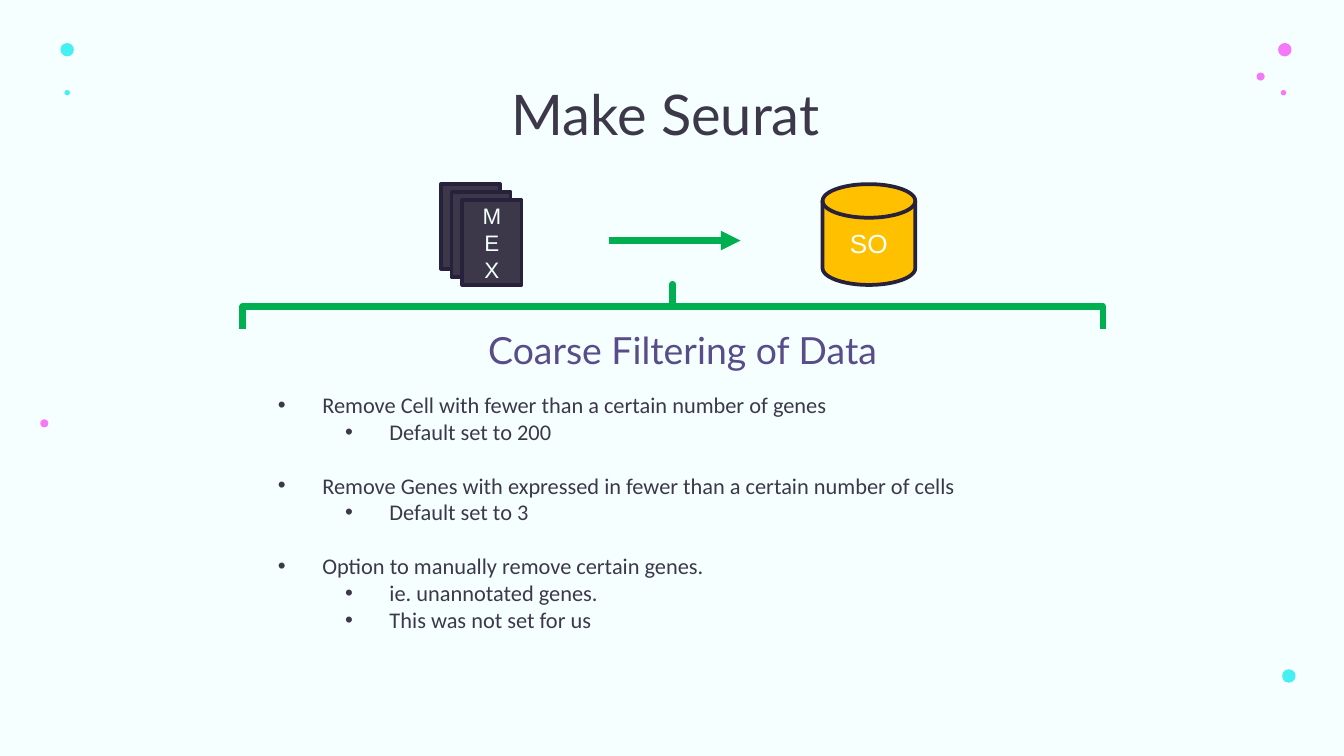
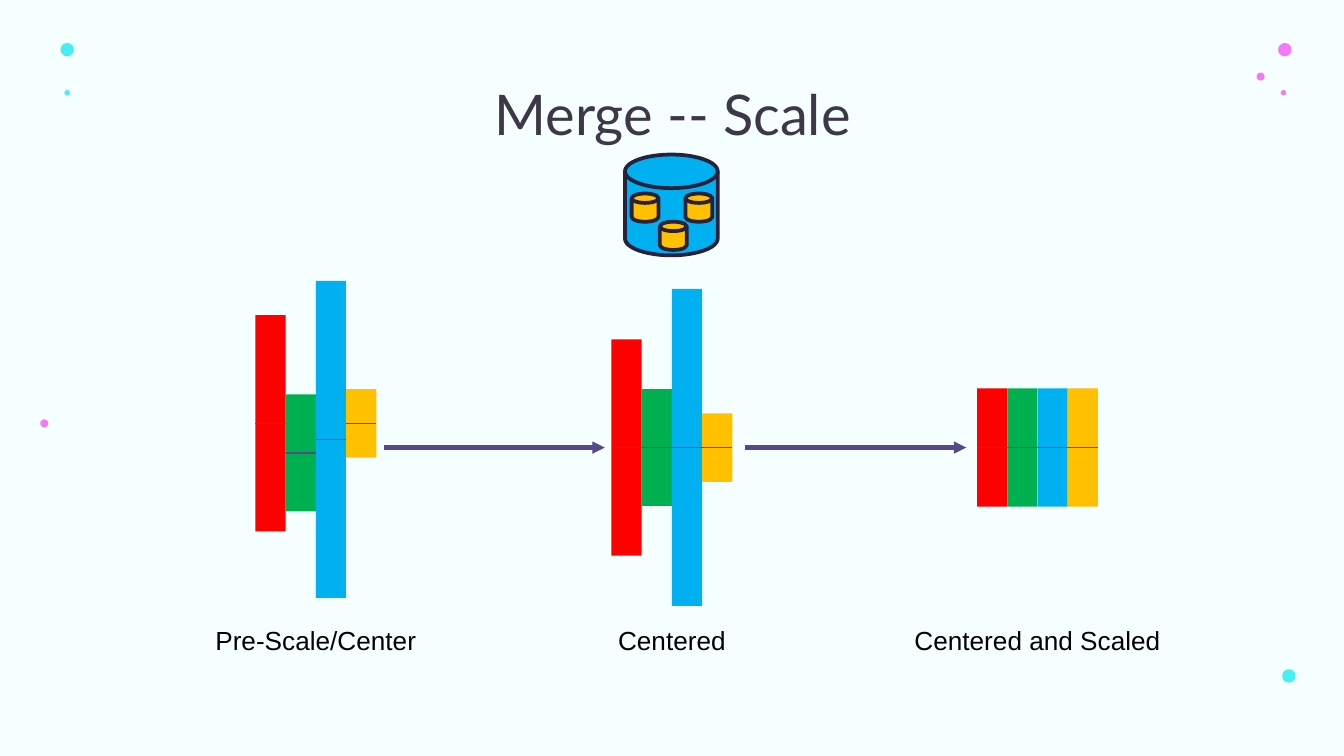
"""Build two slides on filtering, merging and scaling single-cell data."""
import dataclasses

import lxml.etree
import pptx
import pptx.dml.color
import pptx.enum.shapes
import pptx.enum.text
import pptx.oxml.ns
import pptx.util

SHAPE = pptx.enum.shapes.MSO_SHAPE
ANCHOR = pptx.enum.text.MSO_ANCHOR
ALIGN = pptx.enum.text.PP_ALIGN
Inches = pptx.util.Inches
qn = pptx.oxml.ns.qn


@dataclasses.dataclass(frozen=True)
class Theme:
    paper: str = "F5FFFF"
    ink: str = "3C384A"
    outline: str = "27213C"
    purple: str = "584C89"
    mean: str = "554987"
    black: str = "000000"
    pink: str = "F578F8"
    cyan: str = "46EFF2"
    red: str = "FF0000"
    green: str = "00B050"
    blue: str = "00B0F0"
    amber: str = "FFC000"
    heading_font: str = "Lato"
    body_font: str = "Calibri"
    label_font: str = "Arial"
    title_size: float = 30
    subtitle_size: float = 20
    label_size: float = 14
    body_size: float = 12
    body_line: float = 14.4


THEME = Theme()
SLIDE_WIDTH = 10
SLIDE_HEIGHT = SLIDE_WIDTH * 9 / 16
TITLE_BOX = (0.79, 0.49, 8.43, 0.63)
DISK_SIZE = (0.69, 0.75)
SMALL_DISK_SIZE = (0.2, 0.21)

DOTS = [
    (9.51, 0.32, 0.1, THEME.pink),
    (9.35, 0.54, 0.06, THEME.pink),
    (9.53, 0.67, 0.04, THEME.pink),
    (0.45, 0.32, 0.1, THEME.cyan),
    (0.3, 3.12, 0.06, THEME.pink),
    (0.48, 0.67, 0.04, THEME.cyan),
    (9.54, 4.98, 0.1, THEME.cyan),
]

FILE_STACK = [[], [], ["ME", "X"]]
FILTERS = [
    ("Remove Cell with fewer than a certain number of genes", ["Default set to 200"]),
    ("Remove Genes with expressed in fewer than a certain number of cells", ["Default set to 3"]),
    ("Option to manually remove certain genes.", ["ie. unannotated genes.", "This was not set for us"]),
]

AXIS = 3.33
CLUSTER_WIDTH = 0.9
CAPTION_TOP, CAPTION_HEIGHT = 4.6, 0.34
BAR_COLORS = [THEME.red, THEME.green, THEME.blue, THEME.amber]
RAW_HEIGHTS = [1.61, 0.87, 2.36, 0.51]
CLUSTERS = [
    ("Pre-Scale/Center", 1.72, 1.9, RAW_HEIGHTS, [3.15, 3.37, 3.27, 3.15]),
    ("Centered", 1.43, 4.55, RAW_HEIGHTS, [AXIS] * 4),
    ("Centered and Scaled", 2.12, 7.27, [0.88] * 4, [AXIS] * 4),
]
STEP_ARROWS = [(2.86, 4.5), (5.54, 7.19)]


def rgb(color):
    """Return the colour object for a hex string."""
    return pptx.dml.color.RGBColor.from_string(color)


def add_run(paragraph, text, font, size, color):
    """Add one formatted run."""
    run = paragraph.add_run()
    run.text = text
    run.font.name = font
    run.font.size = pptx.util.Pt(size)
    run.font.color.rgb = rgb(color)


def set_indent(paragraph, left):
    """Give a paragraph a left margin with a hanging first line."""
    properties = paragraph._p.get_or_add_pPr()
    properties.set("marL", str(Inches(left)))
    properties.set("indent", str(Inches(-0.33)))
    return properties


def add_bullet(paragraph, level):
    """Turn a paragraph into a bullet of the given level."""
    paragraph.level = level
    properties = set_indent(paragraph, 0.5 * (level + 1))
    color = lxml.etree.SubElement(properties, qn("a:buClr"))
    lxml.etree.SubElement(color, qn("a:srgbClr"), val=THEME.ink)
    lxml.etree.SubElement(properties, qn("a:buFont"), typeface=THEME.label_font)
    lxml.etree.SubElement(properties, qn("a:buChar"), char="•")


def set_insets(frame, inset):
    """Set the same inset on all four sides."""
    frame.margin_left = frame.margin_right = Inches(inset)
    frame.margin_top = frame.margin_bottom = Inches(inset)


def add_shape(shapes, kind, box, fill=None, line=None, width=2, lines=(), size=THEME.label_size):
    """Add a preset shape with optional fill, outline and centred lines of text."""
    shape = shapes.add_shape(kind, *map(Inches, box))
    shape.shadow.inherit = False
    if fill:
        shape.fill.solid()
        shape.fill.fore_color.rgb = rgb(fill)
    else:
        shape.fill.background()
    if line:
        shape.line.color.rgb = rgb(line)
        shape.line.width = pptx.util.Pt(width)
    else:
        shape.line.fill.background()
    frame = shape.text_frame
    frame.vertical_anchor = ANCHOR.MIDDLE
    for index, text in enumerate(lines):
        paragraph = frame.add_paragraph() if index else frame.paragraphs[0]
        paragraph.alignment = ALIGN.CENTER
        add_run(paragraph, text, THEME.label_font, size, THEME.paper)
    return shape


def add_line(shapes, left, right, height, color, width, arrow=False):
    """Add a horizontal line, with an arrowhead on request."""
    connector = shapes.add_connector(
        pptx.enum.shapes.MSO_CONNECTOR.STRAIGHT,
        Inches(left), Inches(height), Inches(right), Inches(height))
    connector.line.color.rgb = rgb(color)
    connector.line.width = pptx.util.Pt(width)
    if arrow:
        lxml.etree.SubElement(connector.get_or_add_ln(), qn("a:tailEnd"), type="triangle")
    lxml.etree.SubElement(connector.element.spPr, qn("a:effectLst"))


def add_text_box(slide, box):
    """Add a wrapping text box and return its frame."""
    frame = slide.shapes.add_textbox(*map(Inches, box)).text_frame
    frame.word_wrap = True
    return frame


def add_disk(slide, left, top, size, fill, lines=()):
    """Add an outlined data store."""
    add_shape(slide.shapes, SHAPE.FLOWCHART_MAGNETIC_DISK, (left, top, *size),
              fill, THEME.outline, lines=lines)


def add_titled_slide(presentation, title):
    """Add a slide with a formatted title."""
    slide = presentation.slides.add_slide(presentation.slide_layouts[5])
    shape = slide.shapes.title
    shape.left, shape.top, shape.width, shape.height = map(Inches, TITLE_BOX)
    frame = shape.text_frame
    frame.auto_size = pptx.enum.text.MSO_AUTO_SIZE.NONE
    frame.vertical_anchor = ANCHOR.TOP
    set_insets(frame, 0.1)
    paragraph = frame.paragraphs[0]
    paragraph.alignment = ALIGN.CENTER
    add_run(paragraph, title, THEME.heading_font, THEME.title_size, THEME.ink)
    return slide


def decorate_layout(slide):
    """Give the layout of a slide its background and dots."""
    layout = slide.slide_layout
    layout.background.fill.solid()
    layout.background.fill.fore_color.rgb = rgb(THEME.paper)
    group = slide.shapes.add_group_shape()
    for left, top, size, color in DOTS:
        add_shape(group.shapes, SHAPE.OVAL, (left, top, size, size), color)
    layout.shapes.element.append(group.element)


def fill_filter_slide(slide):
    """Draw the conversion diagram and the list of filters."""
    shapes = slide.shapes
    for index, lines in enumerate(FILE_STACK):
        add_shape(shapes, SHAPE.RECTANGLE, (3.28 + 0.08 * index, 1.37 + 0.06 * index, 0.44, 0.63),
                  THEME.ink, THEME.outline, lines=lines, size=THEME.body_size)
    add_line(shapes, 4.53, 5.51, 1.79, THEME.green, 3.5, arrow=True)
    add_disk(slide, 6.12, 1.37, DISK_SIZE, THEME.amber, ["SO"])
    brace = add_shape(shapes, SHAPE.LEFT_BRACE, (4.84, -0.92, 0.33, 6.4), line=THEME.green, width=3.5)
    brace.adjustments[0], brace.adjustments[1] = 0, 0.5
    brace.rotation = 90

    frame = add_text_box(slide, (1.8, 2.81, 6.4, 2.6))
    set_insets(frame, 0.1)
    for index, (rule, details) in enumerate(FILTERS):
        for position, text in enumerate([rule, *details]):
            first = index == position == 0
            paragraph = frame.paragraphs[0] if first else frame.add_paragraph()
            add_bullet(paragraph, 1 if position else 0)
            if index and not position:
                paragraph.space_before = pptx.util.Pt(THEME.body_line)
            add_run(paragraph, text, THEME.body_font, THEME.body_size, THEME.ink)

    frame = add_text_box(slide, (3.03, 2.39, 3.93, 0.48))
    set_insets(frame, 0.1)
    frame.vertical_anchor = ANCHOR.BOTTOM
    paragraph = frame.paragraphs[0]
    paragraph.alignment = ALIGN.CENTER
    set_indent(paragraph, 0.5)
    add_run(paragraph, "Coarse Filtering of Data", THEME.heading_font, THEME.subtitle_size, THEME.purple)


def fill_scale_slide(slide):
    """Draw the merged store and the three stages of scaling."""
    add_disk(slide, 4.65, 1.15, DISK_SIZE, THEME.blue)
    for left, top in [(4.7, 1.44), (5.1, 1.44), (4.91, 1.65)]:
        add_disk(slide, left, top, SMALL_DISK_SIZE, THEME.amber)

    pitch = CLUSTER_WIDTH / len(BAR_COLORS)
    for caption, width, start, heights, means in CLUSTERS:
        center = start + CLUSTER_WIDTH / 2
        frame = add_text_box(slide, (center - width / 2, CAPTION_TOP, width, CAPTION_HEIGHT))
        frame.paragraphs[0].alignment = ALIGN.CENTER
        add_run(frame.paragraphs[0], caption, THEME.label_font, THEME.label_size, THEME.black)
        for index, (color, height, mean) in enumerate(zip(BAR_COLORS, heights, means)):
            left = start + index * pitch
            group = slide.shapes.add_group_shape()
            add_shape(group.shapes, SHAPE.RECTANGLE, (left, mean - height / 2, pitch, height), color)
            add_line(group.shapes, left, left + pitch, mean, THEME.mean, 0.75)
    for left, right in STEP_ARROWS:
        add_line(slide.shapes, left, right, AXIS, THEME.mean, 2.25, arrow=True)


def main():
    """Build and save the presentation."""
    presentation = pptx.Presentation()
    presentation.slide_width = Inches(SLIDE_WIDTH)
    presentation.slide_height = Inches(SLIDE_HEIGHT)
    filter_slide = add_titled_slide(presentation, "Make Seurat ")
    decorate_layout(filter_slide)
    fill_filter_slide(filter_slide)
    fill_scale_slide(add_titled_slide(presentation, "Merge -- Scale"))
    presentation.save("out.pptx")


if __name__ == "__main__":
    main()
